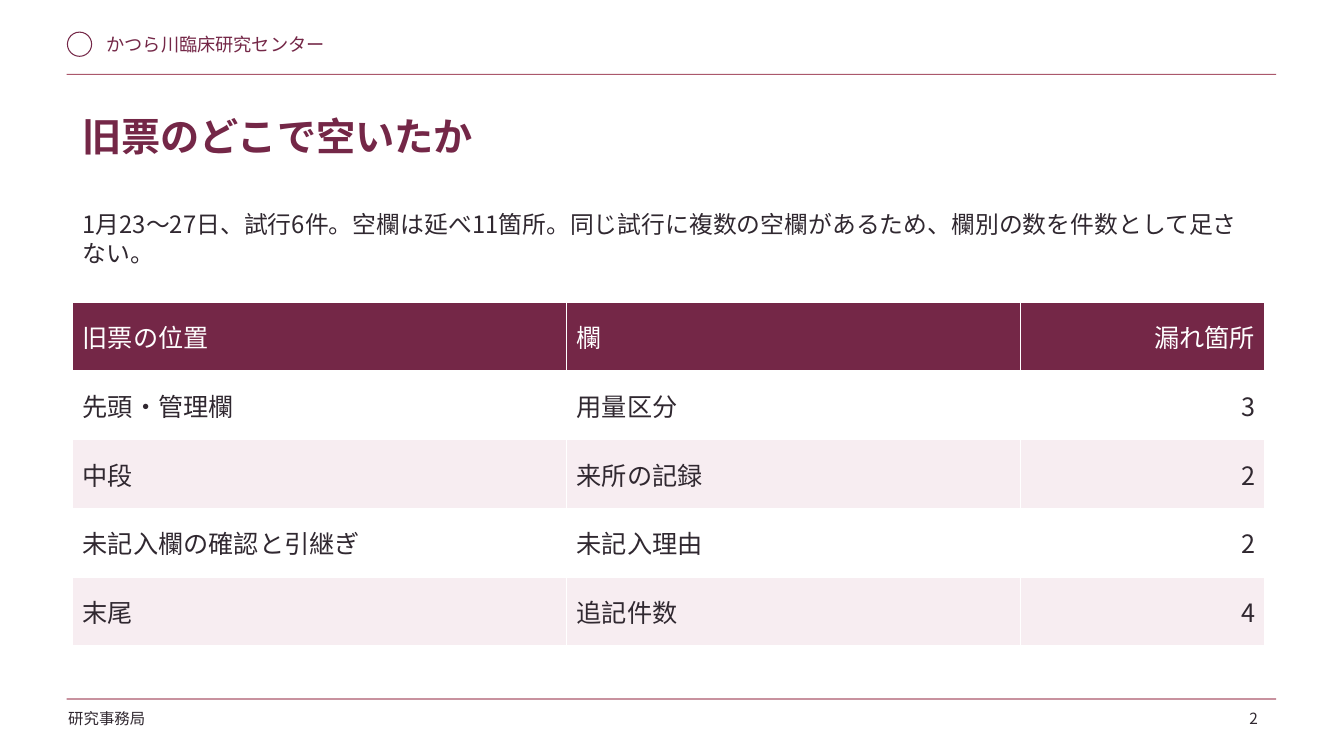
from dataclasses import dataclass, field
from typing import Any

from lxml.etree import SubElement
from pptx import Presentation
from pptx.dml.color import RGBColor
from pptx.enum.shapes import MSO_SHAPE as Shape
from pptx.enum.text import MSO_ANCHOR as Anchor, MSO_AUTO_SIZE as AutoSize, PP_ALIGN as Align
from pptx.oxml.ns import qn
from pptx.util import Cm, Pt


@dataclass(frozen=True)
class Theme:
    font: str = "Noto Sans CJK JP"
    plum: str = "742747"
    rose: str = "AB586C"
    ink: str = "302830"
    band: str = "F7EDF1"
    white: str = "FFFFFF"
    title: int = 28
    table: int = 18
    lead: int = 17
    brand: int = 13
    footer: int = 11


T = Theme()


@dataclass(frozen=True)
class Box:
    left: float
    top: float
    width: float
    height: float

    def emu(self) -> list[int]:
        return [Cm(v) for v in (self.left, self.top, self.width, self.height)]


@dataclass(frozen=True)
class Label:
    text: str
    box: Box
    size: int
    color: str = T.ink
    align: Any = None
    frame: dict[str, Any] = field(default_factory=lambda: {"word_wrap": False})


GROW = {"word_wrap": True, "auto_size": AutoSize.SHAPE_TO_FIT_TEXT}
LABELS = [
    Label("かつら川臨床研究センター", Box(2.44, 0.71, 8.38, 0.89), T.brand, T.plum),
    Label("研究事務局", Box(1.47, 17.75, 4.57, 0.91), T.footer),
    Label("2", Box(30.68, 17.75, 1.27, 0.76), T.footer, align=Align.RIGHT, frame=GROW),
    Label(
        "1月23〜27日、試行6件。空欄は延べ11箇所。"
        "同じ試行に複数の空欄があるため、欄別の数を件数として足さない。",
        Box(1.83, 5.16, 30.05, 1.9), T.lead, frame=GROW,
    ),
]
RULES = [Box(1.68, top, 30.48, 0.03) for top in (1.86, 17.6)]
RING = Box(1.7, 0.81, 0.61, 0.61)
TITLE = Label("旧票のどこで空いたか", Box(1.83, 2.59, 30.23, 2.06), T.title, T.plum, Align.LEFT)

COLUMNS = (12.45, 11.43, 6.17)
ROW_HEIGHT = 1.73
ROWS = [
    ("旧票の位置", "欄", "漏れ箇所"),
    ("先頭・管理欄", "用量区分", "3"),
    ("中段", "来所の記録", "2"),
    ("未記入欄の確認と引継ぎ", "未記入理由", "2"),
    ("末尾", "追記件数", "4"),
]


def apply(obj: Any, values: dict[str, Any]) -> None:
    for name, value in values.items():
        setattr(obj, name, value)


def write(tf: Any, text: str, size: int, color: str, align: Any = None, bold: bool = False) -> None:
    p = tf.paragraphs[0]
    p.alignment = align
    r = p.add_run()
    r.text = text
    apply(r.font, {"name": T.font, "size": Pt(size), "bold": bold})
    r.font.color.rgb = RGBColor.from_string(color)
    SubElement(r.font._element, qn("a:ea"), typeface=T.font)


def add_label(s: Any, label: Label) -> None:
    tf = s.shapes.add_textbox(*label.box.emu()).text_frame
    apply(tf, label.frame)
    write(tf, label.text, label.size, label.color, label.align)


def add_rule(s: Any, box: Box) -> None:
    sp = s.shapes.add_shape(Shape.RECTANGLE, *box.emu())
    sp.shadow.inherit = False
    sp.fill.solid()
    sp.fill.fore_color.rgb = RGBColor.from_string(T.rose)
    sp.line.fill.background()


def add_ring(s: Any, box: Box) -> None:
    sp = s.shapes.add_shape(Shape.OVAL, *box.emu())
    sp.shadow.inherit = False
    sp.fill.background()
    sp.line.color.rgb = RGBColor.from_string(T.plum)
    sp.line.width = Pt(0.75)


def set_title(s: Any, label: Label) -> None:
    sp = s.shapes.title
    apply(sp, dict(zip(("left", "top", "width", "height"), label.box.emu())))
    tf = sp.text_frame
    margins = dict.fromkeys(
        ("margin_left", "margin_top", "margin_right", "margin_bottom"), Cm(0.25)
    )
    apply(tf, margins | {"vertical_anchor": Anchor.TOP, "word_wrap": True})
    write(tf, label.text, label.size, label.color, label.align, bold=True)


def add_gap_table(s: Any) -> None:
    box = Box(1.83, 7.62, sum(COLUMNS), ROW_HEIGHT * len(ROWS))
    table = s.shapes.add_table(len(ROWS), len(COLUMNS), *box.emu()).table
    for column, width in zip(table.columns, COLUMNS):
        column.width = Cm(width)
    for i, values in enumerate(ROWS):
        table.rows[i].height = Cm(ROW_HEIGHT)
        fill = T.plum if i == 0 else T.white if i % 2 else T.band
        color = T.white if i == 0 else T.ink
        for j, text in enumerate(values):
            cell = table.cell(i, j)
            cell.fill.solid()
            cell.fill.fore_color.rgb = RGBColor.from_string(fill)
            cell.vertical_anchor = Anchor.MIDDLE
            align = Align.RIGHT if j == len(COLUMNS) - 1 else Align.LEFT
            write(cell.text_frame, text, T.table, color, align)


def main() -> None:
    prs = Presentation()
    apply(prs, {"slide_width": Cm(33.87), "slide_height": Cm(19.05)})
    s = prs.slides.add_slide(prs.slide_layouts[5])
    add_ring(s, RING)
    for box in RULES:
        add_rule(s, box)
    set_title(s, TITLE)
    for label in LABELS:
        add_label(s, label)
    add_gap_table(s)
    prs.save("out.pptx")


if __name__ == "__main__":
    main()
